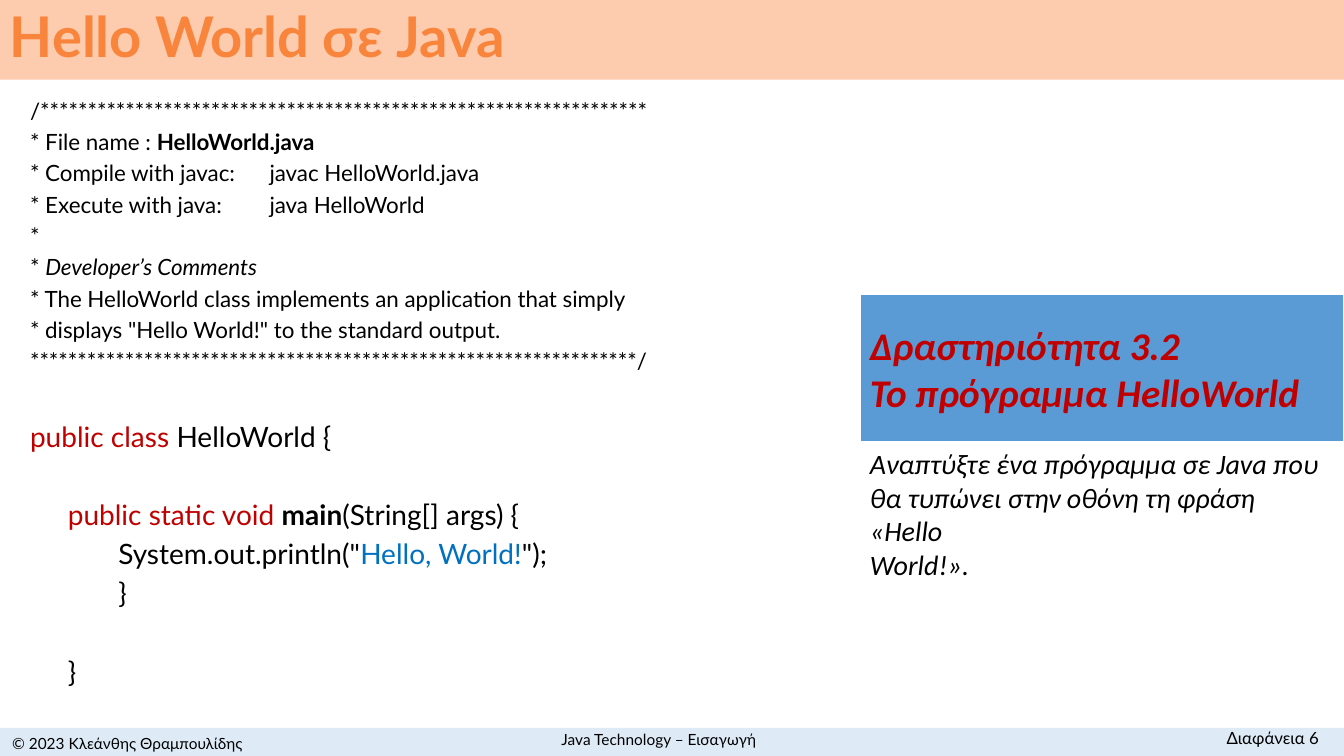
from pptx import Presentation
from pptx.dml.color import RGBColor
from pptx.enum.shapes import MSO_SHAPE as Shape
from pptx.enum.text import MSO_ANCHOR as Anchor, PP_ALIGN as Align
from pptx.util import Inches, Pt

BLACK, RED, BLUE = "000000", "C00000", "0070C0"


def color(hex_string):
    return RGBColor.from_string(hex_string)


class SlideBuilder:
    """Holds the text style and the current slide."""

    def __init__(self, slide, font="Lato"):
        self.slide = slide
        self.font = font

    def bar(self, left, top, width, height, fill, line=None):
        bar = self.slide.shapes.add_shape(
            Shape.RECTANGLE, Inches(left), Inches(top), Inches(width), Inches(height))
        bar.shadow.inherit = False
        bar.fill.solid()
        bar.fill.fore_color.rgb = color(fill)
        if line:
            bar.line.color.rgb = color(line)
            bar.line.width = Pt(1)
        else:
            bar.line.fill.background()
        return bar

    def textbox(self, left, top, width, height):
        return self.slide.shapes.add_textbox(
            Inches(left), Inches(top), Inches(width), Inches(height))

    def style(self, run, size, fill=BLACK, bold=False, italic=False, font=None):
        run.font.name = font or self.font
        run.font.size = Pt(size)
        run.font.color.rgb = color(fill)
        run.font.bold = bold
        run.font.italic = italic

    def label(self, shape, text, size, align=Align.LEFT, anchor=Anchor.MIDDLE, **look):
        frame = shape.text_frame
        frame.word_wrap = True
        frame.vertical_anchor = anchor
        frame.text = text
        for paragraph in frame.paragraphs:
            paragraph.alignment = align
            for run in paragraph.runs:
                self.style(run, size, **look)
        return frame

    def code(self, shape, lines):
        """Each line is (size, blank line above, [(text, look), ...])."""
        frame = shape.text_frame
        frame.word_wrap = True
        for number, (size, gap_above, pieces) in enumerate(lines):
            line = frame.add_paragraph() if number else frame.paragraphs[0]
            line.alignment = Align.LEFT
            properties = line._p.get_or_add_pPr()
            properties.set("marL", str(Inches(0.375)))
            properties.set("indent", str(-Inches(0.375)))
            if number:
                # A fifth of the size, plus one whole line where a gap is wanted
                line.space_before = Pt(size * (1.6 if gap_above else 0.2))
            for text, look in pieces:
                run = line.add_run()
                run.text = text
                self.style(run, size, **look)


def main():
    deck = Presentation()
    deck.slide_width, deck.slide_height = Inches(13.33), Inches(7.5)
    page = SlideBuilder(deck.slides.add_slide(deck.slide_layouts[6]))

    # Title band
    title = page.bar(0, 0, 13.33, 0.79, "FDCBAD")
    heading = page.label(title, "Hello World σε Java", 40, fill="F9853D", bold=True)
    heading.paragraphs[0].line_spacing = 0.9

    # Footer
    page.bar(0, 7.22, 13.33, 0.28, "DEEBF7")
    page.label(page.textbox(0, 7.22, 2.53, 0.3), "© 2023 Κλεάνθης Θραμπουλίδης", 11, Align.CENTER)
    page.label(page.textbox(3.62, 7.17, 5.83, 0.33), "Java Technology – Εισαγωγή", 11, Align.CENTER)
    page.label(page.textbox(11.12, 7.17, 2.06, 0.3), "Διαφάνεια 6", 12, Align.RIGHT, Anchor.TOP)

    # Program listing: header comment, then the class
    stars = "*" * 64
    plain, bold, italic = {}, {"bold": True}, {"italic": True}
    keyword, literal = {"fill": RED}, {"fill": BLUE}
    comment = [
        [("/" + stars, plain)],
        [("* File name : ", plain), ("HelloWorld.java", bold)],
        [("* Compile with javac: \tjavac HelloWorld.java", plain)],
        [("* Execute with java: \tjava HelloWorld", plain)],
        [("*", plain)],
        [("* ", plain), ("Developer’s Comments", italic)],
        [("* The HelloWorld class implements an application that simply", plain)],
        [('* displays "Hello World!" to the standard output.', plain)],
        [(stars + "/", plain)],
    ]
    program = [
        (True, [("public class ", keyword), ("HelloWorld {", plain)]),
        (True, [("\t", plain), ("public static void ", keyword), ("main", bold),
                ("(String[] args) {", plain)]),
        (False, [('\t\tSystem.out.println("', plain), ("Hello, World!", literal),
                 ('");', plain)]),
        (False, [("\t\t}", plain)]),
        (True, [("\t}", plain)]),
    ]
    listing = [(16, False, pieces) for pieces in comment]
    listing += [(20, gap_above, pieces) for gap_above, pieces in program]
    page.code(page.textbox(0.2, 0.91, 8.5, 4.5), listing)

    # Activity card
    activity = page.bar(8.53, 2.92, 4.8, 1.46, "5B9BD5", line="FFFFFF")
    page.label(activity, "Δραστηριότητα 3.2\nΤο πρόγραμμα HelloWorld", 28, Align.JUSTIFY,
               fill=RED, bold=True, italic=True, font="Calibri")
    task = page.textbox(8.53, 4.38, 4.8, 1.11)
    page.label(task, "Αναπτύξτε ένα πρόγραμμα σε Java που θα τυπώνει στην οθόνη "
               "τη φράση «Hello\nWorld!».", 20, anchor=Anchor.TOP, italic=True, font="Calibri")

    deck.save("out.pptx")


if __name__ == "__main__":
    main()
